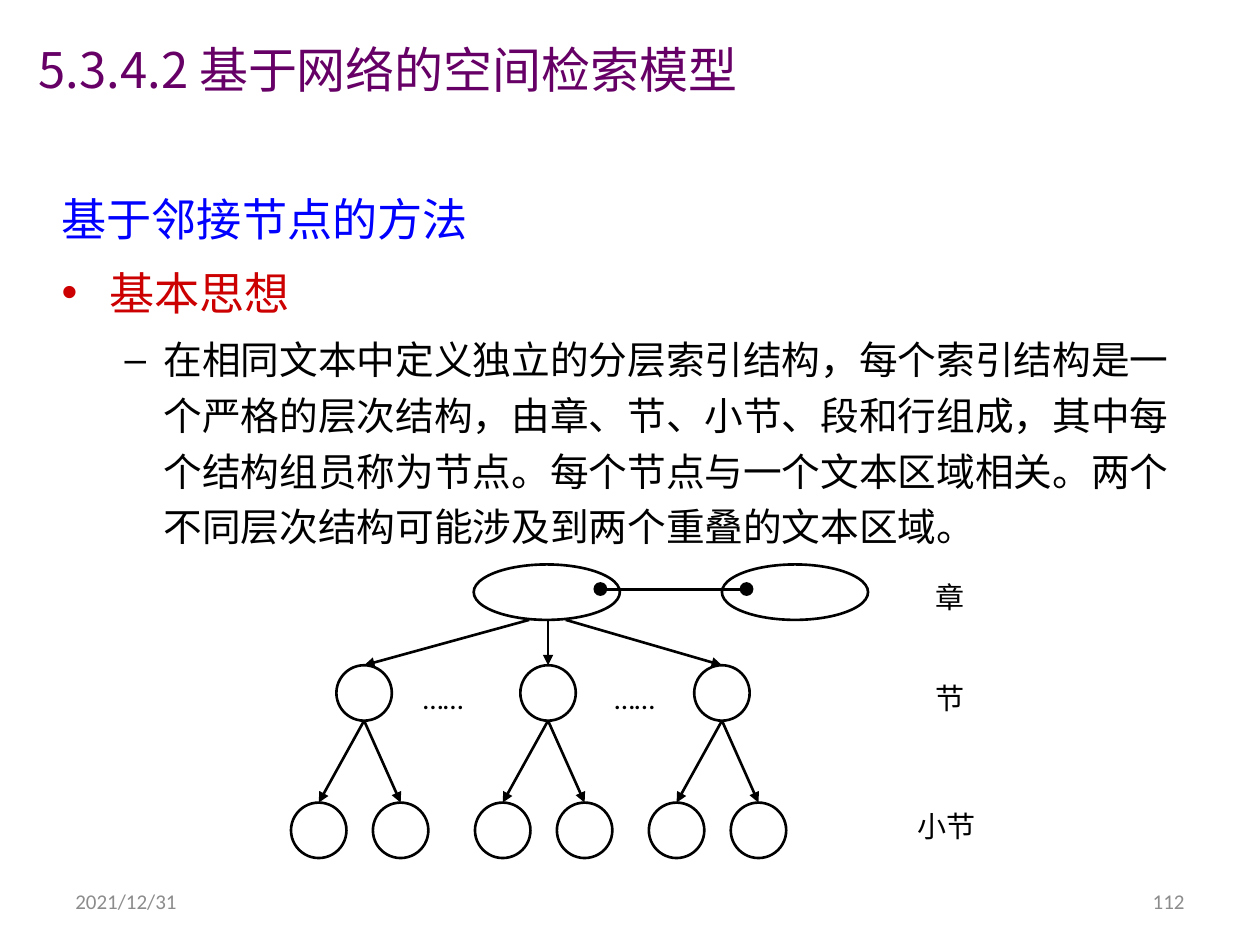
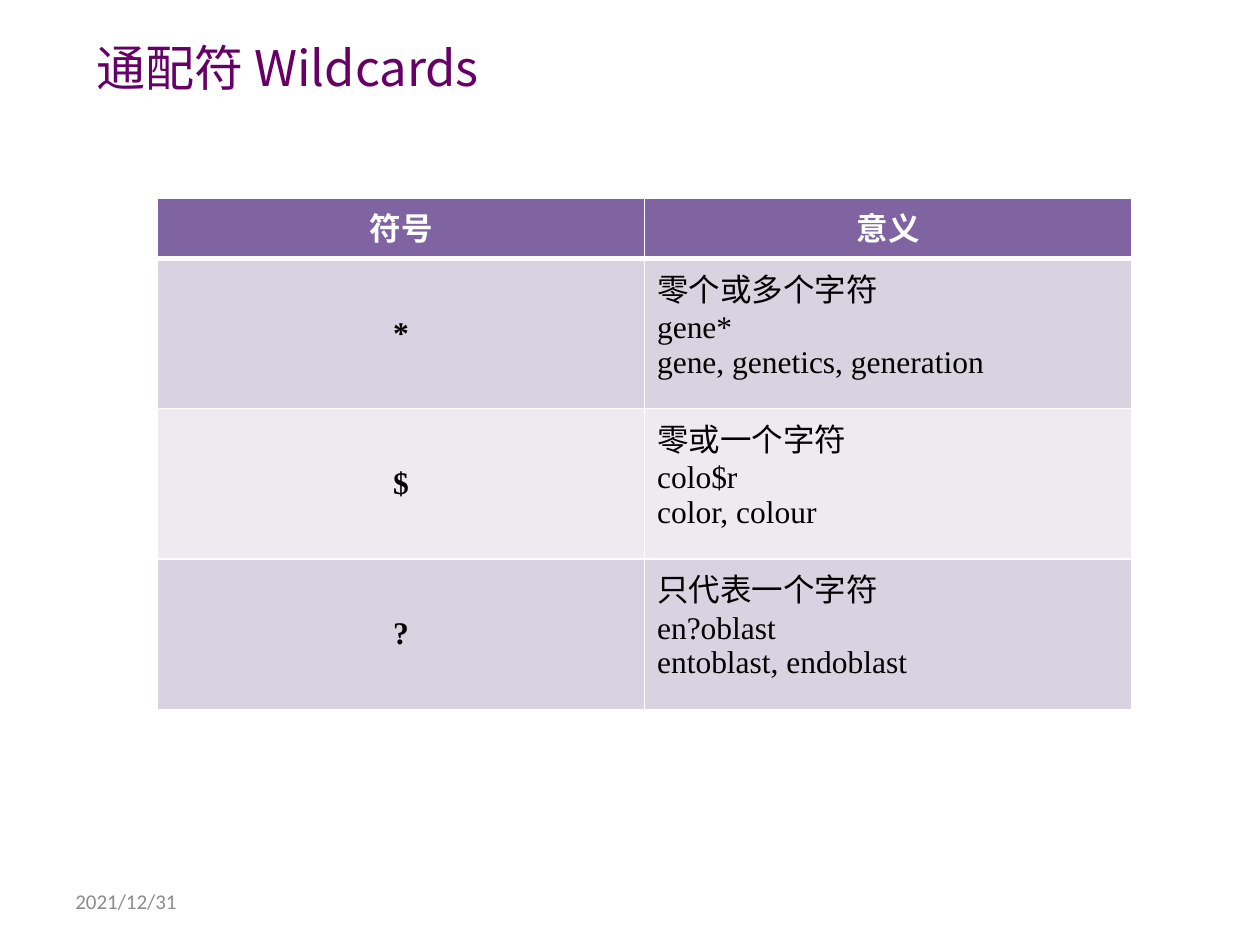
from lxml.etree import SubElement
from pptx import Presentation
from pptx.dml.color import RGBColor
from pptx.enum.shapes import MSO_CONNECTOR, MSO_SHAPE
from pptx.enum.text import MSO_ANCHOR, PP_ALIGN
from pptx.oxml.ns import qn
from pptx.util import Inches, Pt

PURPLE = RGBColor(0x66, 0x00, 0x66)
BLUE = RGBColor(0x00, 0x00, 0xFF)
RED = RGBColor(0xCC, 0x00, 0x00)
BLACK = RGBColor(0x00, 0x00, 0x00)
WHITE = RGBColor(0xFF, 0xFF, 0xFF)
GREY = RGBColor(0x8C, 0x8C, 0x8C)
HEADER = RGBColor(0x80, 0x64, 0xA2)
BANDS = (RGBColor(0xD8, 0xD3, 0xE0), RGBColor(0xED, 0xEA, 0xF0))
CJK, LATIN, SERIF = "Noto Sans CJK SC", "Calibri", "Times New Roman"


def write(p, text, size=18, font=LATIN, color=BLACK, bold=False, align=None,
          spacing=None, before=None, indent=None, bullet=None):
    """Fill a paragraph with one formatted run."""
    p.alignment = align
    if spacing:
        p.line_spacing = spacing
    if before:
        p.space_before = Pt(before)
    pPr = p._p.get_or_add_pPr()
    if indent:
        left, first = indent
        pPr.set("marL", str(Inches(left)))
        pPr.set("indent", str(Inches(first)))
    if bullet:
        SubElement(pPr, qn("a:buFont"), typeface="Arial")
        SubElement(pPr, qn("a:buChar"), char=bullet)
    r = p.add_run()
    r.text = text
    r.font.size, r.font.name, r.font.bold = Pt(size), font, bold
    r.font.color.rgb = color
    SubElement(r._r.get_or_add_rPr(), qn("a:ea"), typeface=CJK)


def add_frame(s, x, y, w, h, anchor=MSO_ANCHOR.TOP):
    """Add a wrapping text box and return its text frame."""
    tf = s.shapes.add_textbox(Inches(x), Inches(y), Inches(w), Inches(h)).text_frame
    tf.word_wrap = True
    tf.vertical_anchor = anchor
    return tf


def add_title(s, text, x, y, w, h):
    """Add a slide title."""
    tf = add_frame(s, x, y, w, h, MSO_ANCHOR.MIDDLE)
    write(tf.paragraphs[0], text, size=28, font=CJK, color=PURPLE)


def add_footer(s, number=None):
    """Add the date and, if given, the slide number."""
    for x, text, align in ((0.5, "2021/12/31", PP_ALIGN.LEFT), (7.17, number, PP_ALIGN.RIGHT)):
        if text:
            tf = add_frame(s, x, 6.95, 2.33, 0.4, MSO_ANCHOR.MIDDLE)
            write(tf.paragraphs[0], text, size=12, color=GREY, align=align)


def add_oval(s, x, y, w, h, filled=False):
    """Add an outlined ellipse or a solid dot."""
    sp = s.shapes.add_shape(MSO_SHAPE.OVAL, Inches(x), Inches(y), Inches(w), Inches(h))
    sp.shadow.inherit = False
    if filled:
        sp.fill.solid()
        sp.fill.fore_color.rgb = BLACK
        sp.line.fill.background()
    else:
        sp.fill.background()
        sp.line.color.rgb = BLACK
        sp.line.width = Pt(1.5)


def add_line(s, x1, y1, x2, y2, arrow=True):
    """Add a straight line, with an arrowhead at its end by default."""
    c = s.shapes.add_connector(MSO_CONNECTOR.STRAIGHT, Inches(x1), Inches(y1), Inches(x2), Inches(y2))
    c.line.color.rgb = BLACK
    c.line.width = Pt(1.5)
    if arrow:
        SubElement(c.line._get_or_add_ln(), qn("a:tailEnd"), type="triangle")
    SubElement(c._element.spPr, qn("a:effectLst"))


def add_outline(s, x, y, w, h):
    """Add the method heading, its bullet and the explanation."""
    tf = add_frame(s, x, y, w, h)
    write(tf.paragraphs[0], "基于邻接节点的方法", size=25.8, font=CJK, color=BLUE,
          spacing=1.6, indent=(0.38, -0.38))
    write(tf.add_paragraph(), "基本思想", size=25.8, font=CJK, color=RED,
          spacing=1.2, before=5.2, indent=(0.38, -0.38), bullet="•")
    write(tf.add_paragraph(),
          "在相同文本中定义独立的分层索引结构，每个索引结构是一个严格的层次结构，"
          "由章、节、小节、段和行组成，其中每个结构组员称为节点。"
          "每个节点与一个文本区域相关。两个不同层次结构可能涉及到两个重叠的文本区域。",
          size=22.1, spacing=1.2, before=4.2, indent=(0.81, -0.31), bullet="–")


def add_hierarchy(s, x, y):
    """Draw the chapter, section and subsection tree from its top left corner."""
    node, chapter_w, dot = 0.44, 1.16, 0.11
    section_y, sub_y = y + 0.8, y + 1.89
    for chapter_x, dot_x in ((1.45, 2.4), (3.42, 3.56)):
        add_oval(s, x + chapter_x, y, chapter_w, node)
        add_oval(s, x + dot_x, y + 0.14, dot, dot, filled=True)
    add_line(s, x + 2.47, y + 0.2, x + 3.64, y + 0.2, arrow=False)
    for section_x, start_x in ((0.58, 1.89), (2.04, 2.04), (3.42, 2.18)):
        cx = x + section_x
        add_line(s, x + start_x, y + node, cx, section_y)
        add_oval(s, cx - node / 2, section_y, node, node)
        for offset in (-0.36, 0.29):
            add_line(s, cx, section_y + node, cx + offset, sub_y)
            add_oval(s, cx + offset - node / 2, sub_y, node, node)
    labels = ((0.95, 0.87, 0.87, "……"), (2.47, 0.87, 0.87, "……"),
              (5.02, 0.07, 0.51, "章"), (5.02, 0.87, 0.51, "节"), (4.87, 1.89, 0.8, "小节"))
    for label_x, label_y, w, text in labels:
        tf = add_frame(s, x + label_x, y + label_y, w, 0.38)
        write(tf.paragraphs[0], text, size=16.6)


def format_cell(cell, fill, top, bottom):
    """Give a cell white borders and a solid fill."""
    tcPr = cell._tc.get_or_add_tcPr()
    for side, width in (("L", 1), ("R", 1), ("T", top), ("B", bottom)):
        ln = SubElement(tcPr, qn(f"a:ln{side}"), w=str(Pt(width)))
        SubElement(SubElement(ln, qn("a:solidFill")), qn("a:srgbClr"), val=str(WHITE))
    cell.fill.solid()
    cell.fill.fore_color.rgb = fill


def add_wildcard_table(s, x, y, w, h):
    """Add the table of wildcard symbols and meanings."""
    rows = (("*", ("零个或多个字符", "gene*", "gene, genetics, generation")),
            ("$", ("零或一个字符", "colo$r", "color, colour")),
            ("?", ("只代表一个字符", "en?oblast", "entoblast, endoblast")))
    header_h = 0.48
    table = s.shapes.add_table(4, 2, Inches(x), Inches(y), Inches(w), Inches(h)).table
    table.horz_banding = False
    table.rows[0].height = Inches(header_h)
    for cell, text in zip(table.rows[0].cells, ("符号", "意义")):
        format_cell(cell, HEADER, 1, 3)
        write(cell.text_frame.paragraphs[0], text, color=WHITE, bold=True, align=PP_ALIGN.CENTER)
    for i, (symbol, meaning) in enumerate(rows):
        row = table.rows[i + 1]
        row.height = Inches((h - header_h) / len(rows))
        for cell in row.cells:
            format_cell(cell, BANDS[i % 2], 1 if i else 3, 1)
        symbol_cell, meaning_cell = row.cells
        symbol_cell.vertical_anchor = MSO_ANCHOR.MIDDLE
        write(symbol_cell.text_frame.paragraphs[0], symbol, font=SERIF, bold=True, align=PP_ALIGN.CENTER)
        tf = meaning_cell.text_frame
        for j, text in enumerate(meaning):
            write(tf.add_paragraph() if j else tf.paragraphs[0], text, font=SERIF)


def build_network_slide(prs):
    """Build the network retrieval model slide."""
    s = prs.slides.add_slide(prs.slide_layouts[6])
    add_footer(s, "112")
    add_title(s, "5.3.4.2 基于网络的空间检索模型", 0.21, 0.16, 9, 0.78)
    add_outline(s, 0.39, 1.21, 9.08, 4.31)
    add_hierarchy(s, 2.31, 4.48)


def build_wildcard_slide(prs):
    """Build the wildcard slide."""
    s = prs.slides.add_slide(prs.slide_layouts[6])
    add_footer(s)
    add_wildcard_table(s, 1.25, 1.57, 7.73, 4.06)
    add_title(s, "通配符 Wildcards", 0.67, 0.25, 5, 0.57)


def main():
    """Build and save the presentation."""
    prs = Presentation()
    prs.slide_width, prs.slide_height = Inches(10), Inches(7.5)
    build_network_slide(prs)
    build_wildcard_slide(prs)
    prs.save("out.pptx")


if __name__ == "__main__":
    main()
